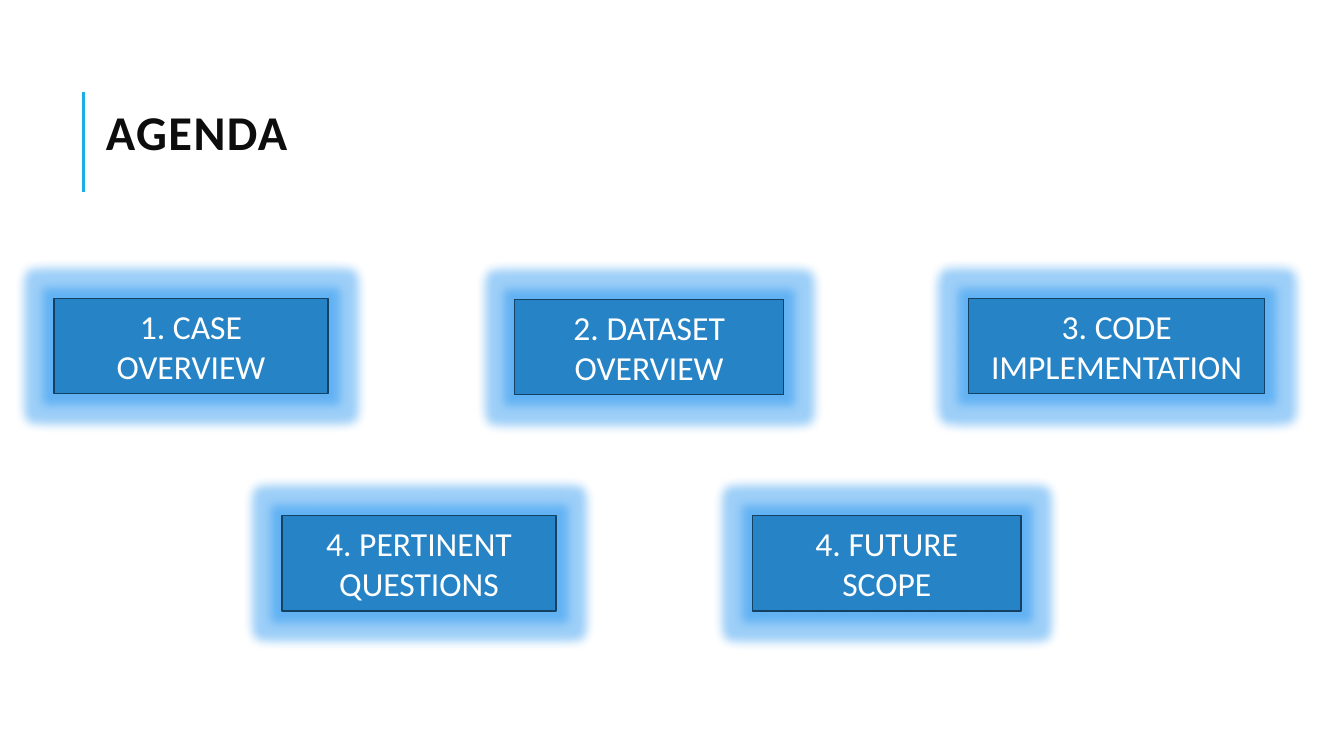
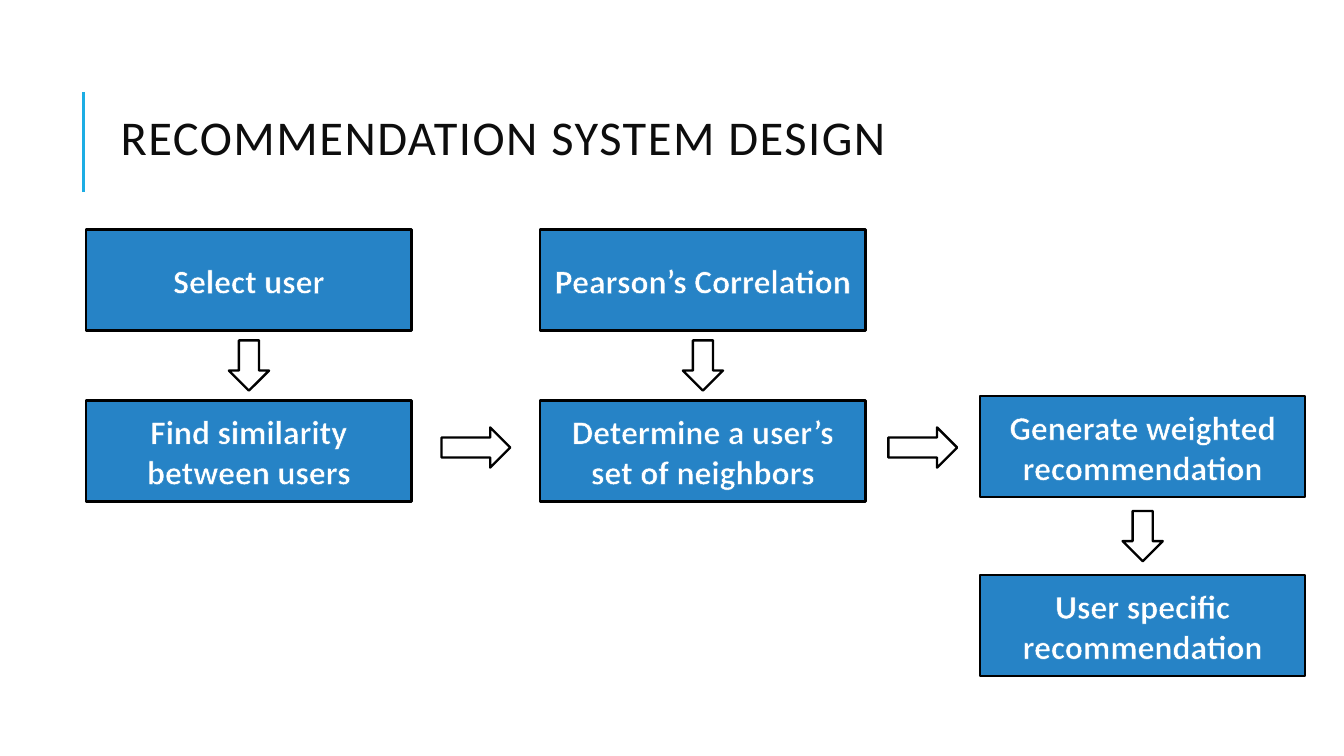
"""Build the agenda and recommendation system design slides."""
from lxml import etree
from pptx import Presentation
from pptx.dml.color import RGBColor
from pptx.enum.shapes import MSO_CONNECTOR, MSO_SHAPE
from pptx.enum.text import MSO_ANCHOR, MSO_AUTO_SIZE, PP_ALIGN
from pptx.oxml.ns import qn
from pptx.util import Cm, Pt

RECTANGLE = MSO_SHAPE.RECTANGLE
RIGHT_ARROW = MSO_SHAPE.RIGHT_ARROW
STRAIGHT = MSO_CONNECTOR.STRAIGHT
MIDDLE = MSO_ANCHOR.MIDDLE
CENTER = PP_ALIGN.CENTER
GROW = MSO_AUTO_SIZE.SHAPE_TO_FIT_TEXT

FONT = "Calibri"
CYAN = RGBColor(0x1C, 0xAD, 0xE4)
BLUE = RGBColor(0x26, 0x83, 0xC6)
NAVY = RGBColor(0x13, 0x41, 0x63)
GLOW = RGBColor(0x0A, 0x87, 0xEE)
INK = RGBColor(0x0D, 0x0D, 0x0D)
BLACK = RGBColor(0x00, 0x00, 0x00)
WHITE = RGBColor(0xFF, 0xFF, 0xFF)

prs = Presentation()
prs.slide_width, prs.slide_height = Cm(25.4), Cm(14.29)


def titled_slide(title, left, top, width, bold):
    slide = prs.slides.add_slide(prs.slide_layouts[6])
    rule = slide.shapes.add_connector(STRAIGHT, Cm(1.58), Cm(3.63), Cm(1.58), Cm(1.73))
    rule.line.color.rgb = CYAN
    rule.line.width = Pt(1.5)
    etree.SubElement(rule._element.spPr, qn("a:effectLst"))
    heading = slide.shapes.add_textbox(Cm(left), Cm(top), Cm(width), Cm(1.5))
    frame = heading.text_frame
    frame.word_wrap = True
    frame.vertical_anchor = MIDDLE
    frame.margin_left = frame.margin_right = Cm(0.25)
    frame.margin_top = frame.margin_bottom = Cm(0.25)
    paragraph = frame.paragraphs[0]
    paragraph.line_spacing = 0.8
    run = paragraph.add_run()
    run.text = title
    run.font.name, run.font.size, run.font.bold = FONT, Pt(26), bold
    run.font.color.rgb = INK
    run.font._element.set("spc", "80")
    return slide


def blue_box(slide, text, left, top, width, height, line_color, line_width, bold):
    box = slide.shapes.add_shape(RECTANGLE, Cm(left), Cm(top), Cm(width), Cm(height))
    box.shadow.inherit = False
    box.fill.solid()
    box.fill.fore_color.rgb = BLUE
    box.line.color.rgb = line_color
    box.line.width = Pt(line_width)
    frame = box.text_frame
    frame.word_wrap = True
    frame.vertical_anchor = MIDDLE
    frame.margin_left = frame.margin_right = Cm(0.25)
    paragraph = frame.paragraphs[0]
    paragraph.alignment = CENTER
    for number, part in enumerate(text.split("\n")):
        if number:
            paragraph.add_line_break()
        run = paragraph.add_run()
        run.text = part
        run.font.name, run.font.size, run.font.bold = FONT, Pt(18), bold
        run.font.color.rgb = WHITE
    return box


agenda = titled_slide("AGENDA", 1.75, 1.83, 6.2, True)
topics = [
    ("1. CASE OVERVIEW", 1.02, 5.64, 5.18),
    ("2. DATASET OVERVIEW", 9.73, 5.66, 5.08),
    ("3. CODE IMPLEMENTATION", 18.31, 5.64, 5.59),
    ("4. PERTINENT QUESTIONS", 5.33, 9.75, 5.18),
    ("4. FUTURE\nSCOPE", 14.22, 9.75, 5.08),
]
for topic, left, top, width in topics:
    card = blue_box(agenda, topic, left, top, width, 1.8, NAVY, 0.75, False)
    card.text_frame.auto_size = GROW
    effects = card._element.spPr.find(qn("a:effectLst"))
    glow = etree.SubElement(effects, qn("a:glow"), rad=str(Pt(11)))
    tint = etree.SubElement(glow, qn("a:srgbClr"), val=str(GLOW))
    etree.SubElement(tint, qn("a:alpha"), val="40000")

design = titled_slide("RECOMMENDATION SYSTEM DESIGN", 2.03, 1.93, 21.36, False)
STEP_W, STEP_H = 6.15, 1.91
COLUMNS = (1.63, 10.21, 18.52)
TOP_ROW, MIDDLE_ROW, WEIGHTED_ROW, LAST_ROW = 4.34, 7.57, 7.49, 10.87
steps = [
    ("Select user", COLUMNS[0], TOP_ROW),
    ("Find similarity between users", COLUMNS[0], MIDDLE_ROW),
    ("Pearson’s Correlation", COLUMNS[1], TOP_ROW),
    ("Determine a user’s set of neighbors", COLUMNS[1], MIDDLE_ROW),
    ("Generate weighted recommendation", COLUMNS[2], WEIGHTED_ROW),
    ("User specific recommendation", COLUMNS[2], LAST_ROW),
]
for step, left, top in steps:
    box = blue_box(design, step, left, top, STEP_W, STEP_H, BLACK, 1.25, True)
    for run in box.text_frame.paragraphs[0].runs:
        outline = etree.Element(qn("a:ln"), w="6600")
        fill = etree.SubElement(outline, qn("a:solidFill"))
        etree.SubElement(fill, qn("a:srgbClr"), val=str(BLUE))
        run.font._element.insert(0, outline)

ARROW_H = 0.76
arrows = []
for left, right in zip(COLUMNS, COLUMNS[1:]):
    arrows.append(((left + STEP_W + right) / 2, 8.46, 1.3, 0))
for column, upper, lower in zip(
    COLUMNS, (TOP_ROW, TOP_ROW, WEIGHTED_ROW), (MIDDLE_ROW, MIDDLE_ROW, LAST_ROW)
):
    arrows.append((column + STEP_W / 2, (upper + STEP_H + lower) / 2, 0.95, 90))
for center_x, center_y, length, angle in arrows:
    arrow = design.shapes.add_shape(
        RIGHT_ARROW, Cm(center_x - length / 2), Cm(center_y - ARROW_H / 2), Cm(length), Cm(ARROW_H)
    )
    arrow.shadow.inherit = False
    arrow.rotation = angle
    arrow.fill.background()
    arrow.line.color.rgb = BLACK
    arrow.line.width = Pt(1.25)

prs.save("out.pptx")
